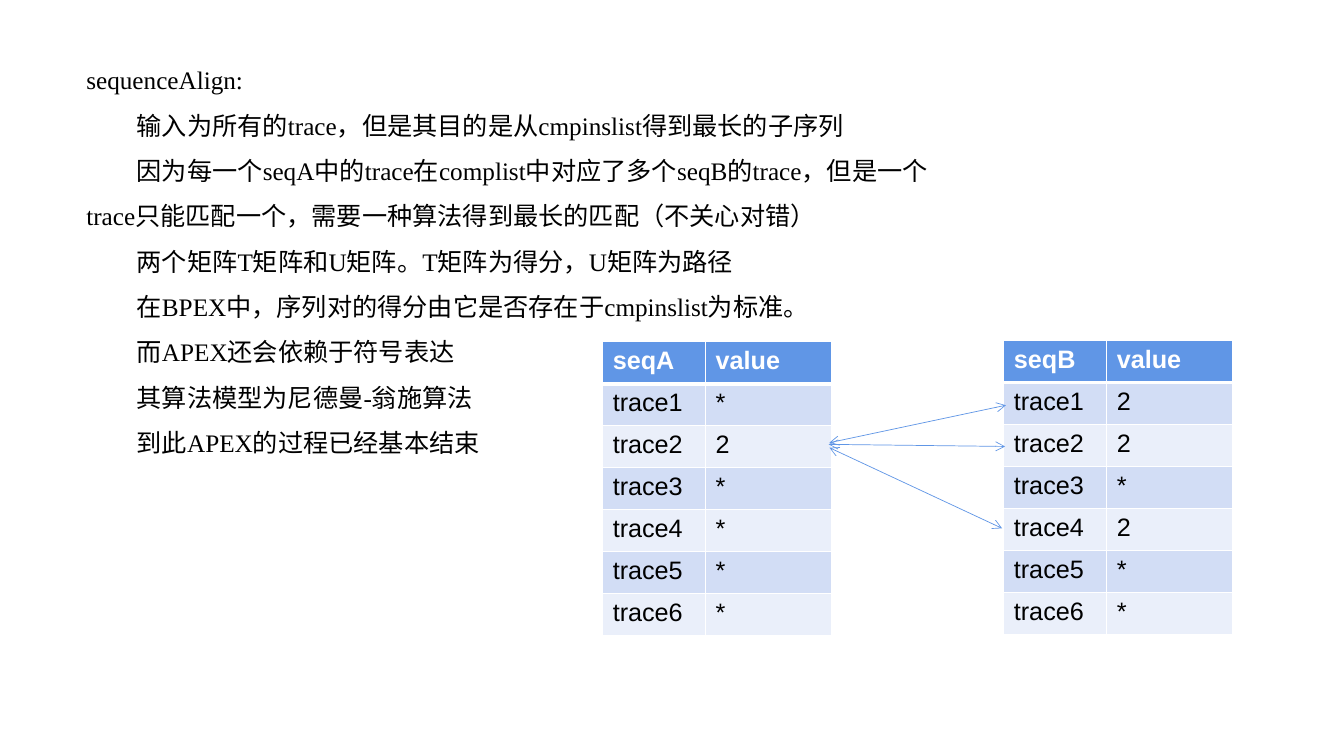
from dataclasses import dataclass

import lxml.etree
import pptx
import pptx.dml.color
import pptx.enum.lang
import pptx.enum.shapes
import pptx.enum.text
import pptx.oxml.ns
import pptx.util

SLIDE_WIDTH = pptx.util.Inches(13.333)
SLIDE_HEIGHT = pptx.util.Inches(7.5)
GRID_COLUMNS, GRID_ROWS = 32, 18

BLUE, WHITE, BLACK = "6096E6", "FFFFFF", "000000"
BODY_BANDS = ("D2DDF5", "EAEFFA")
TEXT_SIZE = 18
TABLE_COLUMNS = (2.45, 3)

NOTES = (
    "sequenceAlign:",
    "输入为所有的trace，但是其目的是从cmpinslist得到最长的子序列",
    "因为每一个seqA中的trace在complist中对应了多个seqB的trace，但是一个trace只能匹配一个，"
    "需要一种算法得到最长的匹配（不关心对错）",
    "两个矩阵T矩阵和U矩阵。T矩阵为得分，U矩阵为路径",
    "在BPEX中，序列对的得分由它是否存在于cmpinslist为标准。",
    "而APEX还会依赖于符号表达",
    "其算法模型为尼德曼-翁施算法",
    "到此APEX的过程已经基本结束",
)


@dataclass(frozen=True)
class TraceTable:
    name: str
    column: float
    row: float
    values: str


@dataclass(frozen=True)
class MatchArrow:
    start: tuple[float, float]
    end: tuple[float, float]


TRACE_TABLES = (
    TraceTable("seqA", 14.35, 8.14, "*2****"),
    TraceTable("seqB", 23.9, 8.11, "22*2**"),
)
MATCH_ARROWS = (
    MatchArrow((19.75, 10.54), (23.95, 9.65)),
    MatchArrow((19.73, 10.58), (23.93, 10.63)),
    MatchArrow((19.75, 10.66), (23.86, 12.58)),
)


def across(columns: float) -> int:
    return round(SLIDE_WIDTH * columns / GRID_COLUMNS)


def down(rows: float) -> int:
    return round(SLIDE_HEIGHT * rows / GRID_ROWS)


def rgb(colour: str) -> pptx.dml.color.RGBColor:
    return pptx.dml.color.RGBColor.from_string(colour)


def format_font(paragraph, name: str, colour: str, bold: bool = False) -> None:
    for run in paragraph.runs:
        run.font.name = name
        run.font.size = pptx.util.Pt(TEXT_SIZE)
        run.font.bold = bold
        run.font.color.rgb = rgb(colour)
        run.font.language_id = pptx.enum.lang.MSO_LANGUAGE_ID.SIMPLIFIED_CHINESE


def add_child(parent, tag: str, **attributes: str):
    return lxml.etree.SubElement(parent, pptx.oxml.ns.qn(tag), **attributes)


def set_borders(cell, top: float, bottom: float) -> None:
    """Draw white borders; the side borders are always one point wide."""
    properties = cell._tc.get_or_add_tcPr()
    widths = {"a:lnL": 1, "a:lnR": 1, "a:lnT": top, "a:lnB": bottom}
    for tag, width in widths.items():
        border = add_child(properties, tag, w=str(pptx.util.Pt(width)))
        add_child(add_child(border, "a:solidFill"), "a:srgbClr", val=WHITE)


def add_trace_table(slide, trace_table: TraceTable) -> None:
    rows = [(trace_table.name, "value")]
    rows += [(f"trace{number}", value)
             for number, value in enumerate(trace_table.values, start=1)]
    table = slide.shapes.add_table(
        len(rows), len(TABLE_COLUMNS),
        across(trace_table.column), down(trace_table.row),
        across(sum(TABLE_COLUMNS)), down(len(rows)),
    ).table
    for column, width in zip(table.columns, TABLE_COLUMNS):
        column.width = across(width)
    for row_index, row in enumerate(rows):
        table.rows[row_index].height = down(1)
        is_header = row_index == 0
        for column_index, text in enumerate(row):
            cell = table.cell(row_index, column_index)
            cell.text_frame.text = text
            format_font(cell.text_frame.paragraphs[0], "Arial",
                        WHITE if is_header else BLACK, is_header)
            set_borders(cell, top=3 if row_index == 1 else 1,
                        bottom=3 if is_header else 1)
            cell.fill.solid()
            cell.fill.fore_color.rgb = rgb(
                BLUE if is_header else BODY_BANDS[(row_index - 1) % 2])


def add_match_arrow(slide, arrow: MatchArrow) -> None:
    connector = slide.shapes.add_connector(
        pptx.enum.shapes.MSO_CONNECTOR.STRAIGHT,
        across(arrow.start[0]), down(arrow.start[1]),
        across(arrow.end[0]), down(arrow.end[1]),
    )
    connector.line.color.rgb = rgb(BLUE)
    connector.line.width = pptx.util.Pt(0.5)
    line = connector.line._get_or_add_ln()
    for tag in ("a:headEnd", "a:tailEnd"):
        add_child(line, tag, type="arrow")
    add_child(connector._element.spPr, "a:effectLst")


def add_notes_text(slide) -> None:
    text_box = slide.shapes.add_textbox(
        across(1.82), down(1.42), across(20.66), down(9.7))
    text_frame = text_box.text_frame
    text_frame.word_wrap = True
    text_frame.auto_size = pptx.enum.text.MSO_AUTO_SIZE.SHAPE_TO_FIT_TEXT
    text_frame.text = "\n".join(NOTES)
    for index, paragraph in enumerate(text_frame.paragraphs):
        format_font(paragraph, "Times New Roman", BLACK)
        if index > 0:
            paragraph.line_spacing = 1.5
            paragraph._p.get_or_add_pPr().set("indent", str(pptx.util.Inches(0.5)))


def main() -> None:
    presentation = pptx.Presentation()
    presentation.slide_width = SLIDE_WIDTH
    presentation.slide_height = SLIDE_HEIGHT
    slide = presentation.slides.add_slide(presentation.slide_layouts[6])
    for trace_table in TRACE_TABLES:
        add_trace_table(slide, trace_table)
    for arrow in MATCH_ARROWS:
        add_match_arrow(slide, arrow)
    add_notes_text(slide)
    presentation.save("out.pptx")


if __name__ == "__main__":
    main()
